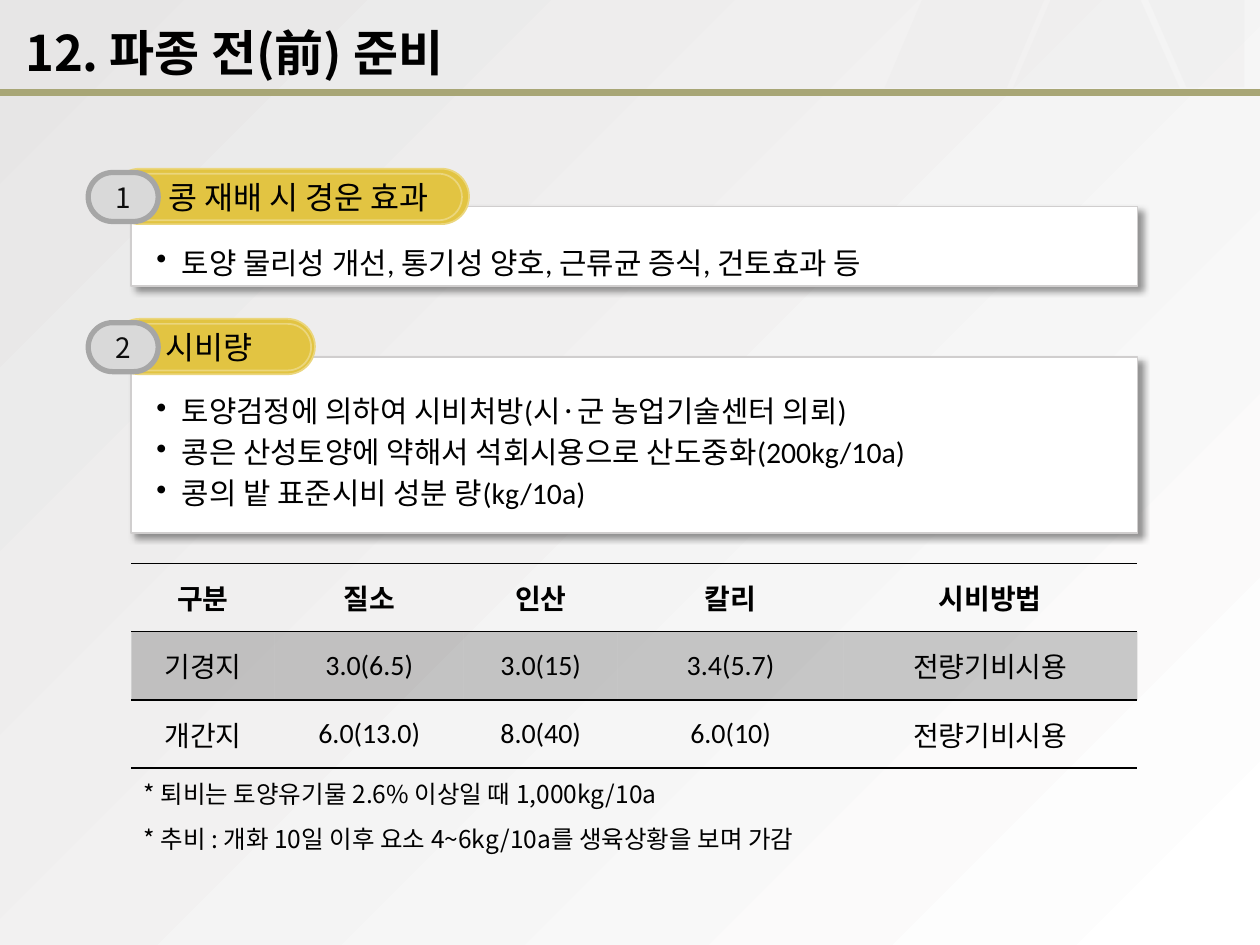
from dataclasses import dataclass

import pptx
import pptx.dml.color
import pptx.enum.dml
import pptx.enum.shapes
import pptx.enum.text
import pptx.oxml.ns
import pptx.util
from lxml import etree

Pt = pptx.util.Pt
qn = pptx.oxml.ns.qn
Shape = pptx.enum.shapes.MSO_SHAPE
Align = pptx.enum.text.PP_ALIGN
Anchor = pptx.enum.text.MSO_ANCHOR
AutoSize = pptx.enum.text.MSO_AUTO_SIZE

COLOURS = {
    "black": "000000", "white": "FFFFFF", "pale": "E7E6E6", "olive": "A8A676",
    "gold": "E2C442", "gold edge": "EBD67D", "panel edge": "D0CECE",
    "badge": "D9D9D9", "badge edge": "A6A6A6", "badge text": "0D0D0D",
}
LATIN, KOREAN = "Calibri", "Noto Sans CJK KR"
LEFT, WIDTH = 75, 575


@dataclass
class Section:
    number: str
    title: str
    top: float
    height: float
    tab_width: float
    tab_inset: float
    line_spacing: float
    bullets: list[list[tuple[str, str]]]


@dataclass
class Note:
    text: str
    top: float
    width: float


SECTIONS = [
    Section("1", " 콩 재배 시 경운 효과", 118, 45.5, 204, 4, 1.5, [
        [("토양 물리성 개선, 통기성 양호, 근류균 증식, 건토효과 등", LATIN)],
    ]),
    Section("2", " 시비량", 203.8, 101, 116, 2.2, 1.0, [
        [("토양검정에 의하여 시비처방(시", LATIN), ("·", KOREAN),
         ("군 농업기술센터 의뢰)", LATIN)],
        [("콩은 산성토양에 약해서 석회시용으로 산도중화(200kg/10a)", LATIN)],
        [("콩의 밭 표준시비 성분 량(kg/10a)", LATIN)],
    ]),
]
COLUMNS = [82, 108, 88, 129, 168]
ROW_HEIGHT = 39
ROWS = [
    ["구분", "질소", "인산", "칼리", "시비방법"],
    ["기경지", "3.0(6.5)", "3.0(15)", "3.4(5.7)", "전량기비시용"],
    ["개간지", "6.0(13.0)", "8.0(40)", "6.0(10)", "전량기비시용"],
]
NOTES = [
    Note("* 퇴비는 토양유기물 2.6% 이상일 때 1,000kg/10a", 441.5, 376.5),
    Note("* 추비 : 개화 10일 이후 요소 4~6kg/10a를 생육상황을 보며 가감", 467.5, 412),
]


def rgb(name: str) -> pptx.dml.color.RGBColor:
    return pptx.dml.color.RGBColor.from_string(COLOURS[name])


def set_alpha(element, percent: int) -> None:
    """Make the solid fill inside the element partly transparent."""
    colour = element.find(qn("a:solidFill")).find(qn("a:srgbClr"))
    etree.SubElement(colour, qn("a:alpha"), val=str(percent * 1000))


def paint(shape, fill: str, line: str | None = None, weight: float = 1) -> None:
    shape.shadow.inherit = False
    shape.fill.solid()
    shape.fill.fore_color.rgb = rgb(fill)
    if line:
        shape.line.color.rgb = rgb(line)
        shape.line.width = Pt(weight)
    else:
        shape.line.fill.background()


def add_box(shapes, kind, left, top, width, height, fill, line=None, weight=1):
    box = shapes.add_shape(kind, Pt(left), Pt(top), Pt(width), Pt(height))
    paint(box, fill, line, weight)
    if kind == Shape.ROUNDED_RECTANGLE:
        box.adjustments[0] = 0.5
    return box


def add_span(para, text: str, size: float, font: str = KOREAN,
             colour: str = "black", bold: bool = False) -> None:
    span = para.add_run()
    span.text = text
    span.font.size = Pt(size)
    span.font.bold = bold
    span.font.color.rgb = rgb(colour)
    span.font.name = font
    etree.SubElement(span.font._element, qn("a:ea"), typeface=KOREAN)


def set_frame(frame, left=7.2, top=3.6, right=7.2, bottom=3.6, anchor=Anchor.MIDDLE):
    frame.margin_left, frame.margin_top = Pt(left), Pt(top)
    frame.margin_right, frame.margin_bottom = Pt(right), Pt(bottom)
    frame.vertical_anchor = anchor
    frame.word_wrap = True


def add_shadow(shape) -> None:
    effects = shape.element.spPr.find(qn("a:effectLst"))
    shadow = etree.SubElement(effects, qn("a:outerShdw"), blurRad=str(Pt(4)),
                              dist=str(Pt(3)), dir="2700000", algn="tl", rotWithShape="0")
    colour = etree.SubElement(shadow, qn("a:srgbClr"), val=COLOURS["black"])
    etree.SubElement(colour, qn("a:alpha"), val="40000")


def add_backdrop(page) -> None:
    base = add_box(page.shapes, Shape.RECTANGLE, 0, 0, 720, 540, "white")
    base.fill.gradient()
    base.fill.gradient_angle = 315
    for stop, name, position in zip(base.fill.gradient_stops, ("pale", "white"), (0, 1)):
        stop.color.rgb = rgb(name)
        stop.position = position
    add_box(page.shapes, Shape.RECTANGLE, 0, 51, 720, 3.6, "olive", "olive", 0.75)

    slant = add_box(page.shapes, Shape.PARALLELOGRAM, 505.5, -4.5, 93, 54.7, "pale")
    slant.adjustments[0] = 0.425
    facets = [slant]
    for outline in (
        [(674, 50.4), (650, -4.5), (602.5, -4.5), (579, 50.4)],
        [(654.5, -5), (677.5, 49.7), (710.6, 49.7), (710.6, -5)],
    ):
        builder = page.shapes.build_freeform(*outline[0], scale=Pt(1))
        builder.add_line_segments(outline[1:], close=True)
        facet = builder.convert_to_shape()
        paint(facet, "pale")
        facets.append(facet)
    for facet in facets:
        set_alpha(facet.element.spPr, 25)


def add_title(page, text: str) -> None:
    title = page.shapes.title
    title.element.getparent().append(title.element)  # in front of the backdrop
    title.left, title.top, title.width, title.height = Pt(0.7), Pt(14.4), Pt(436), Pt(30)
    set_frame(title.text_frame, left=13.7)
    title.text_frame.auto_size = AutoSize.NONE
    para = title.text_frame.paragraphs[0]
    para.alignment = Align.LEFT
    add_span(para, text, 28, bold=True)


def add_section(page, section: Section) -> None:
    panel = add_box(page.shapes, Shape.RECTANGLE, LEFT, section.top, WIDTH, section.height,
                    "white", "panel edge")
    add_shadow(panel)
    set_frame(panel.text_frame, left=14.4, top=11.5)
    for index, spans in enumerate(section.bullets):
        frame = panel.text_frame
        para = frame.add_paragraph() if index else frame.paragraphs[0]
        properties = para._p.get_or_add_pPr()
        properties.set("marL", str(Pt(14.4)))
        properties.set("indent", str(-Pt(14.4)))
        etree.SubElement(properties, qn("a:buChar"), char="•")
        para.alignment = Align.LEFT
        para.line_spacing = section.line_spacing
        para.space_after = Pt(3)
        for text, font in spans:
            add_span(para, text, 17, font)

    tab = page.shapes.add_group_shape()
    pill = Shape.ROUNDED_RECTANGLE
    add_box(tab.shapes, pill, 64, section.top - 21.6, section.tab_width, 31.7,
            "gold", "gold edge")
    label = add_box(tab.shapes, pill, 64 + section.tab_inset, section.top - 18.7,
                    section.tab_width - 2 * section.tab_inset, 26.6, "gold", "gold edge")
    set_frame(label.text_frame, left=20.2)
    label.text_frame.paragraphs[0].alignment = Align.LEFT
    add_span(label.text_frame.paragraphs[0], section.title, 18)

    badge = add_box(page.shapes, pill, 50.4, section.top - 19.4, 40, 28,
                    "badge", "badge edge", 3)
    set_frame(badge.text_frame, 0, 0, 0, 0)
    badge.text_frame.paragraphs[0].alignment = Align.CENTER
    add_span(badge.text_frame.paragraphs[0], section.number, 16, colour="badge text")


def add_border(cell, side: str, position: int) -> None:
    line = etree.Element(qn(f"a:{side}"), w=str(Pt(1)))
    fill = etree.SubElement(line, qn("a:solidFill"))
    etree.SubElement(fill, qn("a:srgbClr"), val=COLOURS["black"])
    cell._tc.get_or_add_tcPr().insert(position, line)


def add_rates_table(page) -> None:
    holder = page.shapes.add_table(len(ROWS), len(COLUMNS), Pt(LEFT), Pt(322), Pt(WIDTH),
                                   Pt(ROW_HEIGHT * len(ROWS)))
    table = holder.table
    table.horz_banding = False
    style = next(holder.element.iter(qn("a:tableStyleId")))
    style.text = "{2D5ABB26-0587-4C30-8999-92F81FD0307C}"
    for column, width in zip(table.columns, COLUMNS):
        column.width = Pt(width)
    for r, values in enumerate(ROWS):
        table.rows[r].height = Pt(ROW_HEIGHT)
        for c, value in enumerate(values):
            cell = table.cell(r, c)
            cell.vertical_anchor = Anchor.MIDDLE
            para = cell.text_frame.paragraphs[0]
            para.alignment = Align.CENTER
            add_span(para, value, 16, LATIN, bold=r == 0)
            if r == 1:
                cell.fill.solid()
                cell.fill.fore_color.rgb = rgb("black")
                set_alpha(cell._tc.tcPr, 20)
            else:
                cell.fill.background()
                add_border(cell, "lnB", 0)
            if r < 2:
                add_border(cell, "lnT", 0)


def add_note(page, note: Note) -> None:
    box = page.shapes.add_textbox(Pt(LEFT), Pt(note.top), Pt(note.width), Pt(24.5))
    set_frame(box.text_frame, anchor=Anchor.TOP)
    box.text_frame.auto_size = AutoSize.SHAPE_TO_FIT_TEXT
    add_span(box.text_frame.paragraphs[0], note.text, 14)


def main() -> None:
    deck = pptx.Presentation()
    deck.slide_width, deck.slide_height = Pt(720), Pt(540)
    page = deck.slides.add_slide(deck.slide_layouts[5])
    add_backdrop(page)
    add_title(page, "12. 파종 전(前) 준비")
    for section in SECTIONS:
        add_section(page, section)
    add_rates_table(page)
    for note in NOTES:
        add_note(page, note)
    deck.save("out.pptx")


if __name__ == "__main__":
    main()
